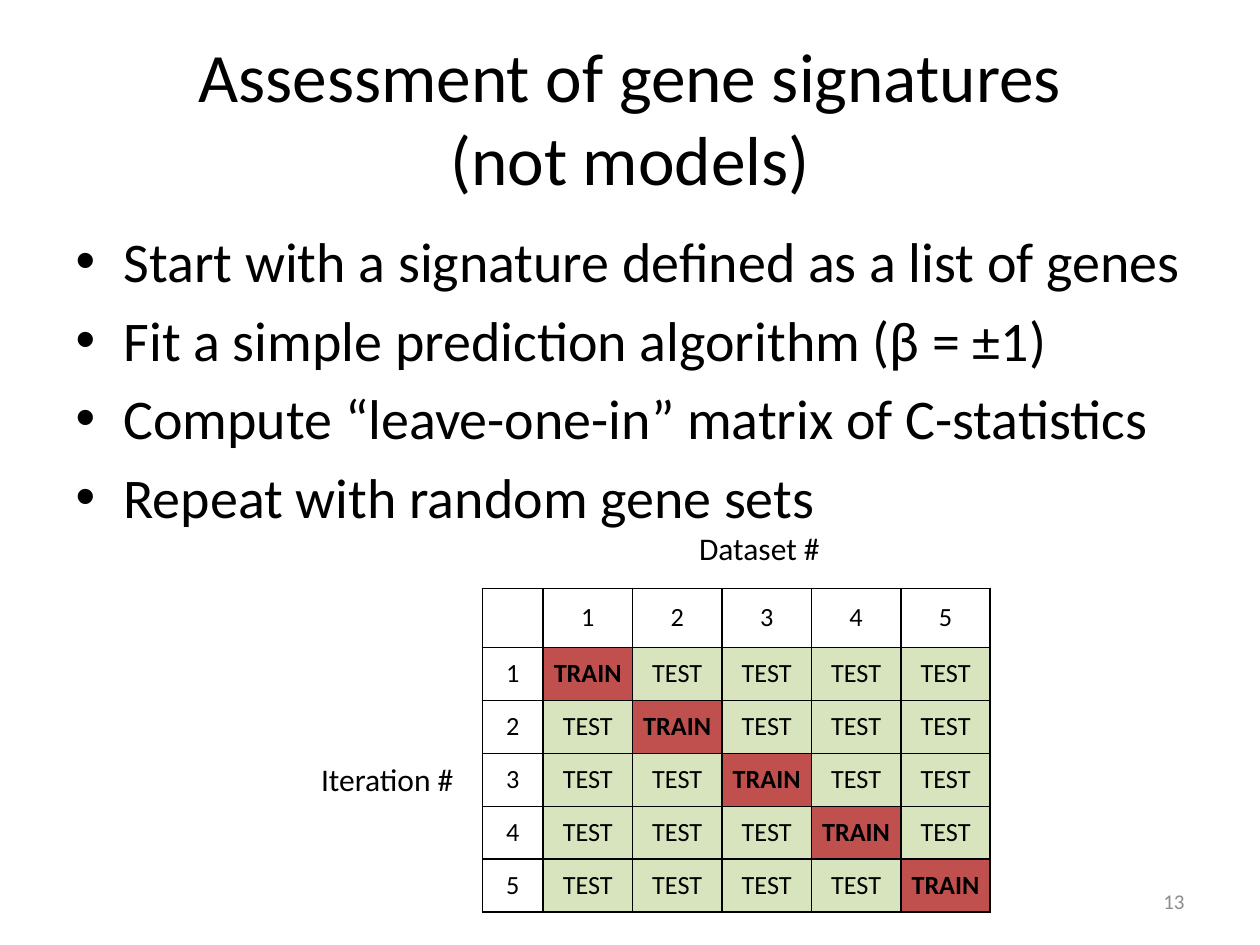
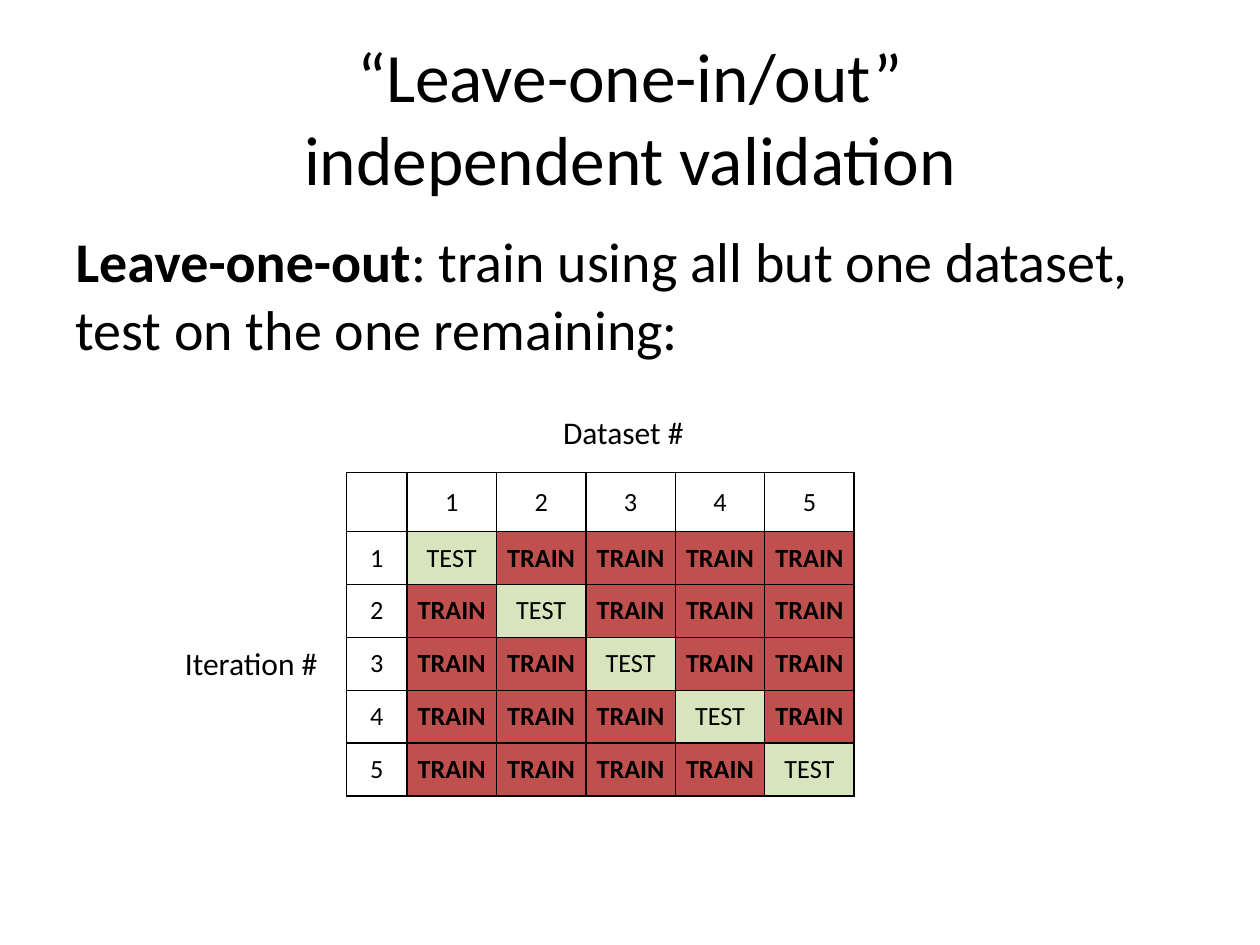
import pptx
import pptx.dml.color
import pptx.enum.text
import pptx.oxml
import pptx.oxml.ns
import pptx.util
from pptx.util import Inches

FONT = "Calibri"
BLACK, WHITE, GREY = "000000", "FFFFFF", "8C8C8C"
CELL_FILLS = {"TRAIN": "C0504D", "TEST": "D7E4BD"}
DATASETS = 5
LABEL_COLUMN, DATA_COLUMN = 0.48, 0.71
HEADER_ROW, DATA_ROW = 0.47, 0.42
AXIS_LABELS = [  # text, offset from the matrix corner, width
    ("Iteration #", -1.38, 1.31, 1.27),
    ("Dataset #", 1.62, -0.52, 1.18),
]
ALIGN = pptx.enum.text.PP_ALIGN
MIDDLE = pptx.enum.text.MSO_ANCHOR.MIDDLE
AUTO_SIZE = pptx.enum.text.MSO_AUTO_SIZE

# Each body paragraph is a list of (text, bold) runs.
SLIDES = [
    {
        "title": "Assessment of gene signatures\v(not models)",
        "body": [
            [("Start with a signature defined as a list of genes", False)],
            [("Fit a simple prediction algorithm (β = ±1)", False)],
            [("Compute “leave-one-in” matrix of C-statistics", False)],
            [("Repeat with random gene sets", False)],
        ],
        "bulleted": True,
        "body_height": 4.95,
        "matrix_at": (3.83, 4.67),
        "diagonal": "TRAIN",
        "others": "TEST",
        "number": "13",
    },
    {
        "title": "“Leave-one-in/out”\vindependent validation",
        "body": [
            [("Leave-one-out", True),
             (": train using all but one dataset, test on the one remaining:", False)],
        ],
        "bulleted": False,
        "body_height": 5.25,
        "matrix_at": (2.75, 3.75),
        "diagonal": "TEST",
        "others": "TRAIN",
        "number": None,
    },
]


def rgb(color):
    return pptx.dml.color.RGBColor.from_string(color)


def style(paragraph, size, color=BLACK, align=None, bold=None):
    paragraph.alignment = align
    font = paragraph.font
    font.name, font.size, font.bold = FONT, pptx.util.Pt(size), bold
    font.color.rgb = rgb(color)


def place(shape, left, top, width, height):
    shape.left, shape.top = Inches(left), Inches(top)
    shape.width, shape.height = Inches(width), Inches(height)


def set_bullet(paragraph, bulleted):
    properties = paragraph._p.get_or_add_pPr()
    indent = Inches(0.38) if bulleted else 0
    properties.set("marL", str(indent))
    properties.set("indent", str(-indent))
    bullet = '<a:buChar {} char="•"/>' if bulleted else "<a:buNone {}/>"
    properties.append(pptx.oxml.parse_xml(bullet.format(pptx.oxml.ns.nsdecls("a"))))


def add_title(slide, text):
    title = slide.shapes.title
    place(title, 0.5, 0.3, 9, 1.25)
    title.text_frame.text = text
    title.text_frame.auto_size = AUTO_SIZE.NONE
    title.text_frame.vertical_anchor = MIDDLE
    style(title.text_frame.paragraphs[0], 39.6, align=ALIGN.CENTER)


def add_body(slide, paragraphs, bulleted, height):
    body = slide.placeholders[1]
    place(body, 0.5, 1.75, 9, height)
    frame = body.text_frame
    frame.auto_size = AUTO_SIZE.NONE
    for index, runs in enumerate(paragraphs):
        paragraph = frame.add_paragraph() if index else frame.paragraphs[0]
        set_bullet(paragraph, bulleted)
        if index == 0:
            paragraph.space_before = 0
        style(paragraph, 32)
        for text, bold in runs:
            run = paragraph.add_run()
            run.text = text
            if bold:
                run.font.bold = True


def add_label(slide, text, left, top, width):
    box = slide.shapes.add_textbox(
        Inches(left), Inches(top), Inches(width), Inches(0.4))
    box.text_frame.text = text
    box.text_frame.word_wrap = False
    box.text_frame.auto_size = AUTO_SIZE.SHAPE_TO_FIT_TEXT
    style(box.text_frame.paragraphs[0], 18)


def add_slide_number(slide, number):
    box = slide.shapes.add_textbox(
        Inches(7.17), Inches(6.95), Inches(2.33), Inches(0.4))
    box.text_frame.text = number
    box.text_frame.word_wrap = True
    box.text_frame.vertical_anchor = MIDDLE
    style(box.text_frame.paragraphs[0], 12, GREY, ALIGN.RIGHT)


def add_borders(cell):
    properties = cell._tc.get_or_add_tcPr()
    for side in "LRTB":
        properties.append(pptx.oxml.parse_xml(
            f'<a:ln{side} {pptx.oxml.ns.nsdecls("a")} w="{pptx.util.Pt(1)}">'
            f'<a:solidFill><a:srgbClr val="{BLACK}"/></a:solidFill></a:ln{side}>'))


def matrix_text(row, column, diagonal, others):
    """Numbers head the rows and columns; the corner is empty."""
    if row and column:
        return diagonal if row == column else others
    return str(row or column or "")


def add_matrix(slide, left, top, diagonal, others):
    size = DATASETS + 1
    table = slide.shapes.add_table(
        size, size, Inches(left), Inches(top),
        Inches(LABEL_COLUMN + DATASETS * DATA_COLUMN),
        Inches(HEADER_ROW + DATASETS * DATA_ROW)).table
    table.first_row = table.horz_banding = False
    for index in range(size):
        table.columns[index].width = Inches(DATA_COLUMN if index else LABEL_COLUMN)
        table.rows[index].height = Inches(DATA_ROW if index else HEADER_ROW)
    for row in range(size):
        for column in range(size):
            cell = table.cell(row, column)
            text = matrix_text(row, column, diagonal, others)
            cell.text = text
            cell.vertical_anchor = MIDDLE
            cell.margin_left = cell.margin_right = Inches(0.08)
            cell.margin_top = cell.margin_bottom = Inches(0.04)
            add_borders(cell)
            if row:
                cell.fill.solid()
                cell.fill.fore_color.rgb = rgb(CELL_FILLS.get(text, WHITE))
            else:
                cell.fill.background()
            style(cell.text_frame.paragraphs[0], 15, align=ALIGN.CENTER,
                  bold=text == "TRAIN")


def main():
    deck = pptx.Presentation()
    deck.slide_width, deck.slide_height = Inches(10), Inches(7.5)
    for content in SLIDES:
        slide = deck.slides.add_slide(deck.slide_layouts[1])
        add_title(slide, content["title"])
        if content["number"]:
            add_slide_number(slide, content["number"])
        add_body(slide, content["body"], content["bulleted"], content["body_height"])
        left, top = content["matrix_at"]
        for text, across, down, width in AXIS_LABELS:
            add_label(slide, text, left + across, top + down, width)
        add_matrix(slide, left, top, content["diagonal"], content["others"])
    deck.save("out.pptx")


if __name__ == "__main__":
    main()
